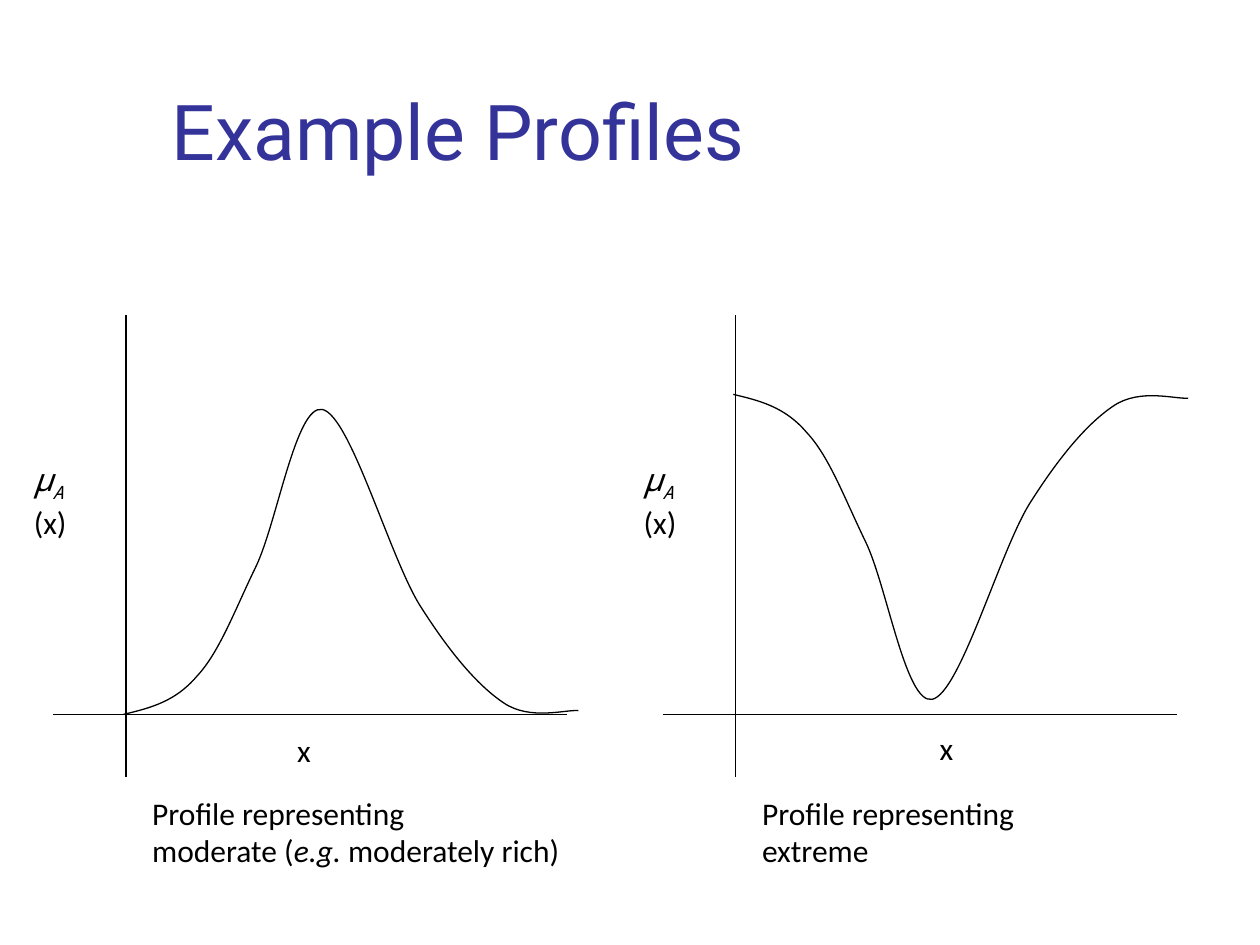
from lxml import etree
from pptx import Presentation
from pptx.dml.color import RGBColor
from pptx.enum.shapes import MSO_CONNECTOR
from pptx.enum.text import MSO_ANCHOR, PP_ALIGN
from pptx.oxml.ns import qn
from pptx.util import Inches, Pt

STRAIGHT = MSO_CONNECTOR.STRAIGHT
MIDDLE = MSO_ANCHOR.MIDDLE
LEFT = PP_ALIGN.LEFT

COLORS = {"title": "333399", "ink": "000000"}
PANEL_STEP = 4.84
MIRROR_SUM = 8.8  # a height and its mirrored height add up to this

# Start point, then three Bezier points for each segment
BELL = [
    (0.98, 5.67),
    (1.19, 5.62), (1.39, 5.57), (1.56, 5.37),
    (1.74, 5.18), (1.86, 4.85), (2.03, 4.5),
    (2.2, 4.15), (2.35, 3.2), (2.56, 3.25),
    (2.78, 3.3), (3.09, 4.41), (3.33, 4.8),
    (3.57, 5.18), (3.79, 5.44), (4, 5.58),
    (4.21, 5.72), (4.49, 5.63), (4.59, 5.64),
]

# Each paragraph is a list of (text, font, italic, baseline)
MEMBERSHIP = [[("μ", "Noto Sans Mono", True, 0),
               ("A ", "Noto Sans Mono", True, -25000),
               ("(x)", "Calibri", False, 0)]]
X_LABEL = [[("x", "Calibri", False, 0)]]
CAPTION_START = [("Profile representing", "Calibri", False, 0)]
PANELS = [
    {"mirrored": False, "x_label": (2.26, 5.75), "caption_width": 3.47,
     "ending": [("moderate (", "Calibri", False, 0),
                ("e.g.", "Calibri", True, 0),
                (" moderately rich)", "Calibri", False, 0)]},
    {"mirrored": True, "x_label": (7.36, 5.74), "caption_width": 2.37,
     "ending": [("extreme", "Calibri", False, 0)]},
]


def add_label(left, top, width, height, paragraphs, wrap):
    box = page.shapes.add_textbox(*map(Inches, (left, top, width, height)))
    frame = box.text_frame
    frame.word_wrap = wrap
    frame.text = "\n".join("".join(part[0] for part in parts) for parts in paragraphs)
    for para, parts in zip(frame.paragraphs, paragraphs):
        para.text = ""
        for text, font, italic, baseline in parts:
            span = para.add_run()
            span.text = text
            span.font.name = font
            span.font.size = Pt(18)
            span.font.italic = italic
            span.font.color.rgb = RGBColor.from_string(COLORS["ink"])
            if baseline:
                span.font._element.set("baseline", str(baseline))


def add_curve(points):
    """Draw one freeform, turning each three line segments into a cubic Bezier."""
    places = [(Inches(x), Inches(y)) for x, y in points]
    builder = page.shapes.build_freeform(*places[0])
    builder.add_line_segments(places[1:], close=False)
    curve = builder.convert_to_shape()
    outline = curve._element.find(".//" + qn("a:path"))
    segments = outline.findall(qn("a:lnTo"))
    for first in range(0, len(segments), 3):
        bezier = etree.SubElement(outline, qn("a:cubicBezTo"))
        for segment in segments[first:first + 3]:
            bezier.append(segment[0])
            outline.remove(segment)
    curve.fill.background()
    curve.shadow.inherit = False
    return curve


deck = Presentation()
deck.slide_width, deck.slide_height = Inches(10), Inches(7.5)
page = deck.slides.add_slide(deck.slide_layouts[5])

title = page.shapes.title
title.left, title.top, title.width, title.height = map(Inches, (1.26, 0.23, 8.52, 1.6))
title.text_frame.text = "Example Profiles"
title.text_frame.vertical_anchor = MIDDLE
heading = title.text_frame.paragraphs[0]
heading.alignment = LEFT
span = heading.runs[0]
span.font.name = "Roboto"
span.font.size = Pt(44)
span.font.color.rgb = RGBColor.from_string(COLORS["title"])

for column, panel in enumerate(PANELS):
    shift = column * PANEL_STEP
    strokes = []
    for ends in ((1, 2.5, 1, 6.17), (0.42, 5.67, 4.5, 5.67)):
        x1, y1, x2, y2 = ends
        axis = page.shapes.add_connector(
            STRAIGHT, *map(Inches, (x1 + shift, y1, x2 + shift, y2)))
        etree.SubElement(axis._element.spPr, qn("a:effectLst"))
        strokes.append(axis)

    strokes.append(add_curve(
        [(x + shift, MIRROR_SUM - y if panel["mirrored"] else y) for x, y in BELL]))
    for stroke in strokes:
        stroke.line.color.rgb = RGBColor.from_string(COLORS["ink"])
        stroke.line.width = Pt(0.75)

    add_label(0.17 + shift, 3.6, 0.75, 0.4, MEMBERSHIP, True)
    add_label(*panel["x_label"], 0.31, 0.4, X_LABEL, False)
    add_label(1.11 + shift, 6.25, panel["caption_width"], 0.7,
              [CAPTION_START, panel["ending"]], False)

deck.save("out.pptx")
